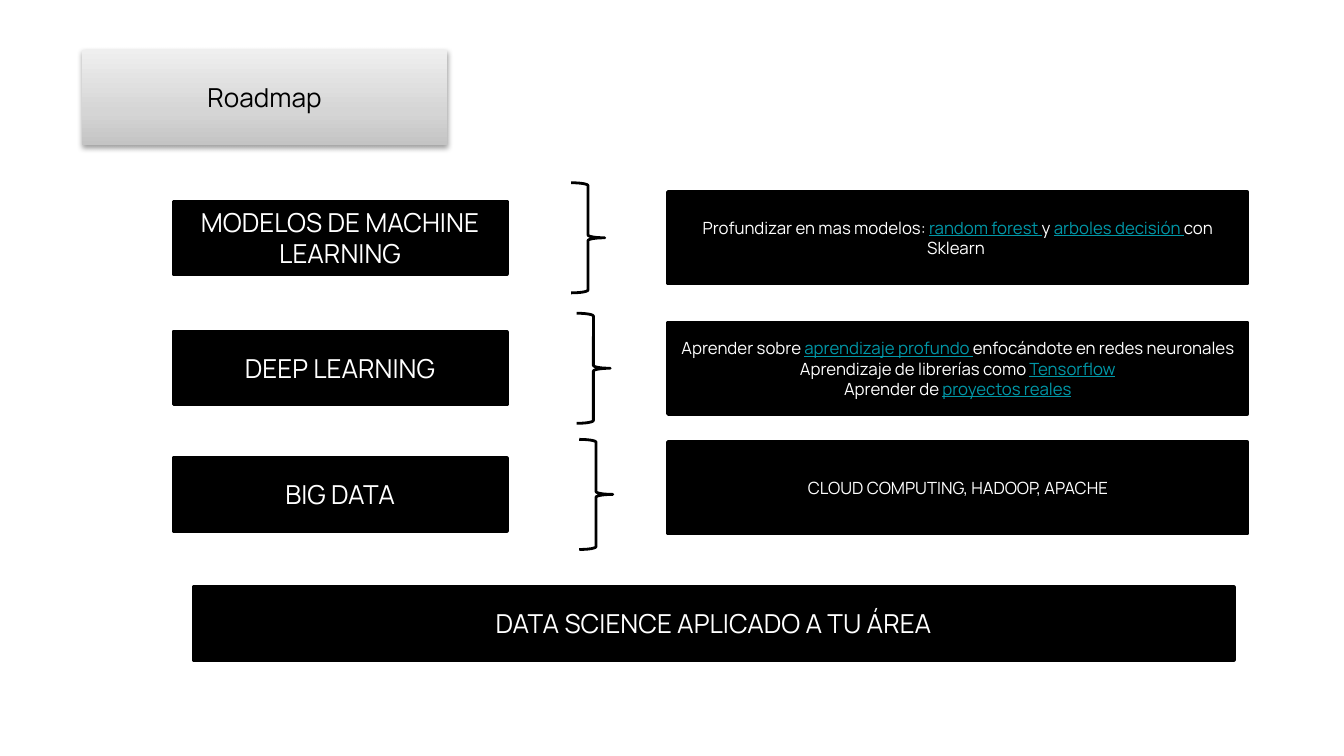
from dataclasses import dataclass

from pptx import Presentation
from pptx.dml.color import RGBColor
from pptx.enum import shapes, text
from pptx.oxml import parse_xml
from pptx.oxml import ns
from pptx.util import Pt


@dataclass(frozen=True)
class Theme:
    """Colours, font and type sizes of the slide."""
    font: str = "Manrope"
    black: str = "000000"
    white: str = "FFFFFF"
    link: str = "0097A7"
    gradient: tuple = ((0, "C4C4C4"), (35, "D5D5D5"), (100, "EFEFEF"))
    heading: float = 14
    detail: float = 9


THEME = Theme()

STAGES = [
    ("MODELOS DE MACHINE LEARNING", 97.9, 306, 0, [
        [("Profundizar en mas modelos: ", False), ("random forest ", True), ("y ", False),
         ("arboles decisión ", True), ("con Sklearn ", False)],
    ]),
    ("DEEP LEARNING", 167.8, 308.9, 0, [
        [("Aprender sobre ", False), ("aprendizaje profundo ", True),
         ("enfocándote en redes neuronales ", False)],
        [("Aprendizaje de librerías como ", False), ("Tensorflow", True)],
        [("Aprender de ", False), ("proyectos reales", True)],
    ]),
    ("BIG DATA", 235.4, 310.3, -3.6, [[("CLOUD COMPUTING, HADOOP, APACHE", False)]]),
]


def place(shape, left, top, width, height):
    """Move and size a shape, in points."""
    shape.left, shape.top = Pt(left), Pt(top)
    shape.width, shape.height = Pt(width), Pt(height)


def style_run(run, size, color, underline=None):
    """Apply the theme font, a size and a colour to a run."""
    run.font.name, run.font.size = THEME.font, Pt(size)
    run.font.color.rgb = RGBColor.from_string(color)
    run.font.underline = underline


def add_panel(slide, box, paragraphs, size):
    """Add a black panel with centred text, underlining its marked terms."""
    panel = slide.shapes.add_shape(shapes.MSO_SHAPE.RECTANGLE, *map(Pt, box))
    panel.shadow.inherit = False
    panel.fill.solid()
    panel.fill.fore_color.rgb = RGBColor.from_string(THEME.black)
    panel.line.color.rgb = RGBColor.from_string(THEME.black)
    panel.line.width = Pt(2)
    frame = panel.text_frame
    frame.word_wrap = True
    frame.vertical_anchor = text.MSO_ANCHOR.MIDDLE
    for index, pieces in enumerate(paragraphs):
        paragraph = frame.add_paragraph() if index else frame.paragraphs[0]
        paragraph.alignment = text.PP_ALIGN.CENTER
        for words, linked in pieces:
            run = paragraph.add_run()
            run.text = words
            style_run(run, size, THEME.link if linked else THEME.white, linked or None)


def add_title(slide, box):
    """Turn the title placeholder into a shaded, shadowed plate."""
    title = slide.shapes.title
    place(title, *box)
    stops = "".join(f'<a:gs pos="{position * 1000}"><a:srgbClr val="{color}"/></a:gs>'
                    for position, color in THEME.gradient)
    namespace = ns.nsdecls("a")
    properties = title.element.spPr
    properties.append(parse_xml(
        f'<a:gradFill {namespace} rotWithShape="1"><a:gsLst>{stops}</a:gsLst>'
        '<a:lin ang="16200000" scaled="0"/></a:gradFill>'))
    properties.append(parse_xml(
        f'<a:effectLst {namespace}><a:outerShdw blurRad="{Pt(3.1)}" dist="{Pt(1.6)}" '
        f'dir="5400000" rotWithShape="0"><a:srgbClr val="{THEME.black}">'
        '<a:alpha val="38000"/></a:srgbClr></a:outerShdw></a:effectLst>'))
    frame = title.text_frame
    frame.text = "Roadmap"
    frame.word_wrap = True
    frame.auto_size = text.MSO_AUTO_SIZE.NONE
    frame.vertical_anchor = text.MSO_ANCHOR.MIDDLE
    frame.margin_left = frame.margin_right = Pt(2.16)
    frame.margin_top = frame.margin_bottom = Pt(2.16)
    paragraph = frame.paragraphs[0]
    paragraph.alignment = text.PP_ALIGN.CENTER
    style_run(paragraph.runs[0], THEME.heading, THEME.black)


def add_stage(slide, box, heading, brace_left, detail_shift, details):
    """Add a row: stage panel, brace and detail panel, centred on the row."""
    left, top, width, height = box
    middle = top + height / 2
    stage_height, detail_width, detail_height = 38.9, 310.3, 49
    add_panel(slide, (left, middle - stage_height / 2, 178.6, stage_height),
              [[(heading, False)]], THEME.heading)
    brace = slide.shapes.add_shape(shapes.MSO_SHAPE.RIGHT_BRACE,
                                   Pt(brace_left), Pt(top), Pt(18), Pt(height))
    brace.shadow.inherit = False
    brace.fill.background()
    brace.line.color.rgb = RGBColor.from_string(THEME.black)
    brace.line.width = Pt(1.5)
    add_panel(slide, (left + width - detail_width, middle - detail_height / 2 + detail_shift,
                      detail_width, detail_height), details, THEME.detail)


def main():
    """Build the roadmap slide and save it."""
    deck = Presentation()
    deck.slide_width, deck.slide_height = Pt(720), Pt(405)
    slide = deck.slides.add_slide(deck.slide_layouts[5])
    add_title(slide, (43.9, 26.6, 195.8, 51.1))
    for heading, top, brace_left, detail_shift, details in STAGES:
        add_stage(slide, (92.9, top, 575.3, 59), heading, brace_left, detail_shift, details)
    add_panel(slide, (103.7, 314.6, 557.3, 38.9),
              [[("DATA SCIENCE APLICADO A TU ÁREA", False)]], THEME.heading)
    deck.save("out.pptx")


if __name__ == "__main__":
    main()
